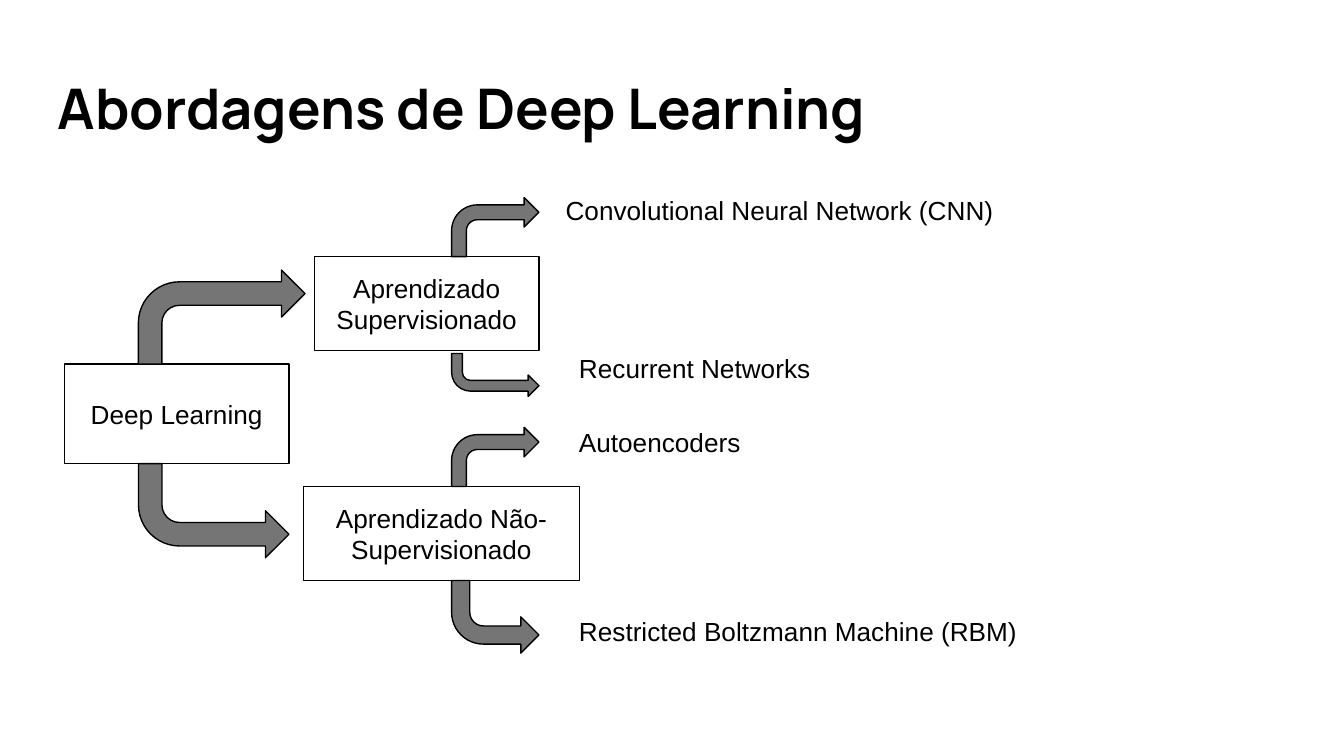
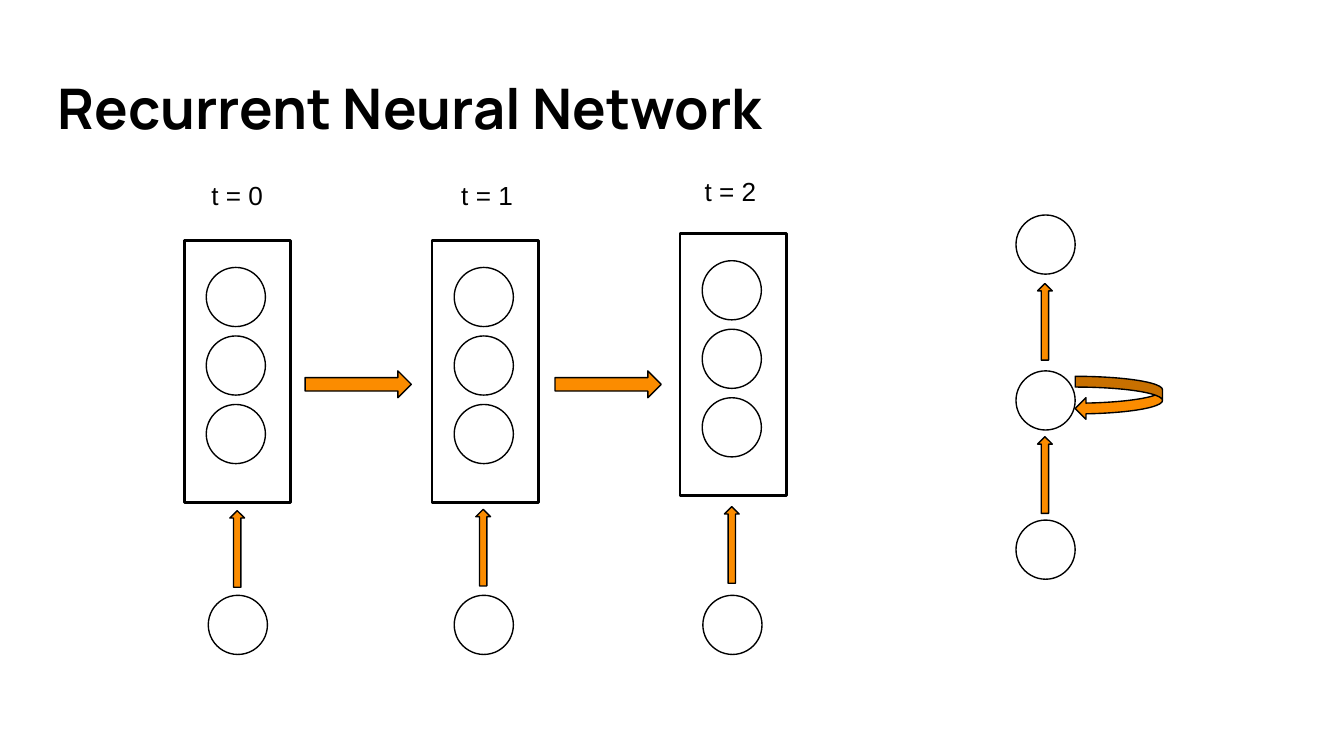
from dataclasses import dataclass

from pptx import Presentation
from pptx.dml.color import RGBColor
from pptx.enum.shapes import MSO_SHAPE
from pptx.enum.text import MSO_ANCHOR, MSO_AUTO_SIZE, PP_ALIGN
from pptx.util import Inches, Pt

RECTANGLE = MSO_SHAPE.RECTANGLE
ELLIPSE = MSO_SHAPE.OVAL
CONNECTOR_NODE = MSO_SHAPE.FLOWCHART_CONNECTOR
BENT_ARROW = MSO_SHAPE.BENT_ARROW
RIGHT_ARROW = MSO_SHAPE.RIGHT_ARROW
UP_ARROW = MSO_SHAPE.UP_ARROW
LOOP_ARROW = MSO_SHAPE.CURVED_LEFT_ARROW
TOP, MIDDLE = MSO_ANCHOR.TOP, MSO_ANCHOR.MIDDLE
LEFT, CENTER = PP_ALIGN.LEFT, PP_ALIGN.CENTER
NO_AUTOFIT = MSO_AUTO_SIZE.NONE
TITLE_ONLY = 5

SLIDE_WIDTH = Inches(10)
SLIDE_HEIGHT = SLIDE_WIDTH * 9 // 16
CELL = SLIDE_WIDTH / 100  # square grid, 100 columns across the slide


@dataclass(frozen=True)
class Theme:
    black: RGBColor = RGBColor(0x00, 0x00, 0x00)
    white: RGBColor = RGBColor(0xFF, 0xFF, 0xFF)
    gray: RGBColor = RGBColor(0x75, 0x75, 0x75)
    orange: RGBColor = RGBColor(0xFB, 0x8C, 0x00)
    title_font: str = "Manrope"
    body_font: str = "Arial"
    title_size: Pt = Pt(30)
    body_size: Pt = Pt(14)
    thin: Pt = Pt(0.75)
    thick: Pt = Pt(1.5)
    inset: int = Inches(0.1)


THEME = Theme()
TITLE_FORMAT = {"name": THEME.title_font, "size": THEME.title_size, "bold": True}
BODY_FORMAT = {"name": THEME.body_font, "size": THEME.body_size, "bold": False}
NODE_SIZE = 4.4


def grid(*cells):
    """Turn columns and rows of the grid into slide lengths."""
    return [round(cell * CELL) for cell in cells]


def set_attributes(target, values):
    for name, value in values.items():
        setattr(target, name, value)


def write(shape, text, font_format, alignment=LEFT, anchor=TOP):
    frame = shape.text_frame
    set_attributes(frame, {
        "word_wrap": True, "auto_size": NO_AUTOFIT, "vertical_anchor": anchor,
        "margin_left": THEME.inset, "margin_right": THEME.inset,
        "margin_top": THEME.inset, "margin_bottom": THEME.inset,
    })
    paragraph = frame.paragraphs[0]
    paragraph.alignment = alignment
    run = paragraph.add_run()
    run.text = text
    set_attributes(run.font, font_format)
    run.font.color.rgb = THEME.black


def add_titled_slide(presentation, title):
    slide = presentation.slides.add_slide(presentation.slide_layouts[TITLE_ONLY])
    slide.background.fill.solid()
    slide.background.fill.fore_color.rgb = THEME.white
    left, top, width, height = grid(3.3, 4.5, 93.2, 7)
    set_attributes(slide.shapes.title,
                   {"left": left, "top": top, "width": width, "height": height})
    write(slide.shapes.title, title, TITLE_FORMAT)
    return slide


def add_outlined(slide, kind, area, fill=None, line_width=THEME.thin):
    shape = slide.shapes.add_shape(kind, *grid(*area))
    shape.shadow.inherit = False
    if fill is None:
        shape.fill.background()
    else:
        shape.fill.solid()
        shape.fill.fore_color.rgb = fill
    shape.line.color.rgb = THEME.black
    shape.line.width = line_width
    return shape


def add_box(slide, text, area):
    write(add_outlined(slide, RECTANGLE, area), text, BODY_FORMAT, CENTER, MIDDLE)


def add_label(slide, text, area, alignment=LEFT, anchor=TOP):
    write(slide.shapes.add_textbox(*grid(*area)), text, BODY_FORMAT, alignment, anchor)


def add_branch(slide, area, downward):
    """Bent arrow that leaves a box upward or downward and points right."""
    arrow = add_outlined(slide, BENT_ARROW, area, THEME.gray)
    if downward:
        arrow.rotation = 180
        arrow._element.spPr.get_or_add_xfrm().set("flipH", "1")


def add_node(slide, left, top, kind=ELLIPSE):
    add_outlined(slide, kind, (left, top, NODE_SIZE, NODE_SIZE), THEME.white)


def add_up_arrow(slide, node_left, top):
    """Arrow centred on the column of a node."""
    add_outlined(slide, UP_ARROW, (node_left + 1.6, top, 1.1, 5.7), THEME.orange)


def build_approaches(presentation):
    slide = add_titled_slide(presentation, "Abordagens de Deep Learning")
    for text, area in (
        ("Deep Learning", (4.8, 27.1, 16.7, 7.4)),
        ("Aprendizado Supervisionado", (23.4, 19.1, 16.7, 7)),
        ("Aprendizado Não-Supervisionado", (22.6, 36.2, 20.5, 7)),
    ):
        add_box(slide, text, area)

    root_left, method_left, method_width = 10.3, 33.6, 6.5
    for left, top, width, height, downward in (
        (root_left, 20.1, 12.4, 7, False),
        (root_left, 34.5, 11.2, 7, True),
        (method_left, 14.7, method_width, 4.4, False),
        (method_left, 31.8, method_width, 4.4, False),
        (method_left, 43.2, method_width, 5.4, True),
        (method_left, 26.3, method_width, 3.2, True),
    ):
        add_branch(slide, (left, top, width, height), downward)

    for text, left, top, width in (
        ("Convolutional Neural Network (CNN)", 41.1, 13.5, 36.2),
        ("Recurrent Networks", 42.1, 25.2, 29.6),
        ("Autoencoders", 42.1, 30.7, 29.6),
        ("Restricted Boltzmann Machine (RBM)", 42.1, 44.8, 37.4),
    ):
        add_label(slide, text, (left, top, width, 4.4))


def add_time_step(slide, index, label_area, layer_top, input_left, arrow_top):
    layer_left = 13.7 + 18.45 * index
    for row in range(3):
        add_node(slide, layer_left + 1.65, layer_top + 2 + 5.1 * row, CONNECTOR_NODE)
    add_outlined(slide, RECTANGLE, (layer_left, layer_top, 7.9, 19.5),
                 line_width=THEME.thick)
    add_node(slide, input_left, 44.3)
    add_up_arrow(slide, input_left, arrow_top)
    add_label(slide, f"t = {index}", (*label_area, 8.3, 3.2), CENTER, MIDDLE)


def build_recurrent_network(presentation):
    slide = add_titled_slide(presentation, "Recurrent Neural Network")
    steps = (
        ((13.5, 12.9), 17.9, 15.5, 38),
        ((32.1, 12.9), 17.9, 33.8, 37.9),
        ((50.2, 12.6), 17.4, 52.3, 37.7),
    )
    for index, step in enumerate(steps):
        add_time_step(slide, index, *step)
    for left in (22.7, 41.3):
        add_outlined(slide, RIGHT_ARROW, (left, 27.6, 7.9, 2), THEME.orange)

    folded_left = 75.6
    for top in (16, 27.6, 38.7):
        add_node(slide, folded_left, top)
    for top in (32.5, 21.1):
        add_up_arrow(slide, folded_left, top)
    add_outlined(slide, LOOP_ARROW, (folded_left + NODE_SIZE, 28, 6.5, 3.2),
                 THEME.orange)


def main():
    presentation = Presentation()
    presentation.slide_width = SLIDE_WIDTH
    presentation.slide_height = SLIDE_HEIGHT
    build_approaches(presentation)
    build_recurrent_network(presentation)
    presentation.save("out.pptx")


if __name__ == "__main__":
    main()
